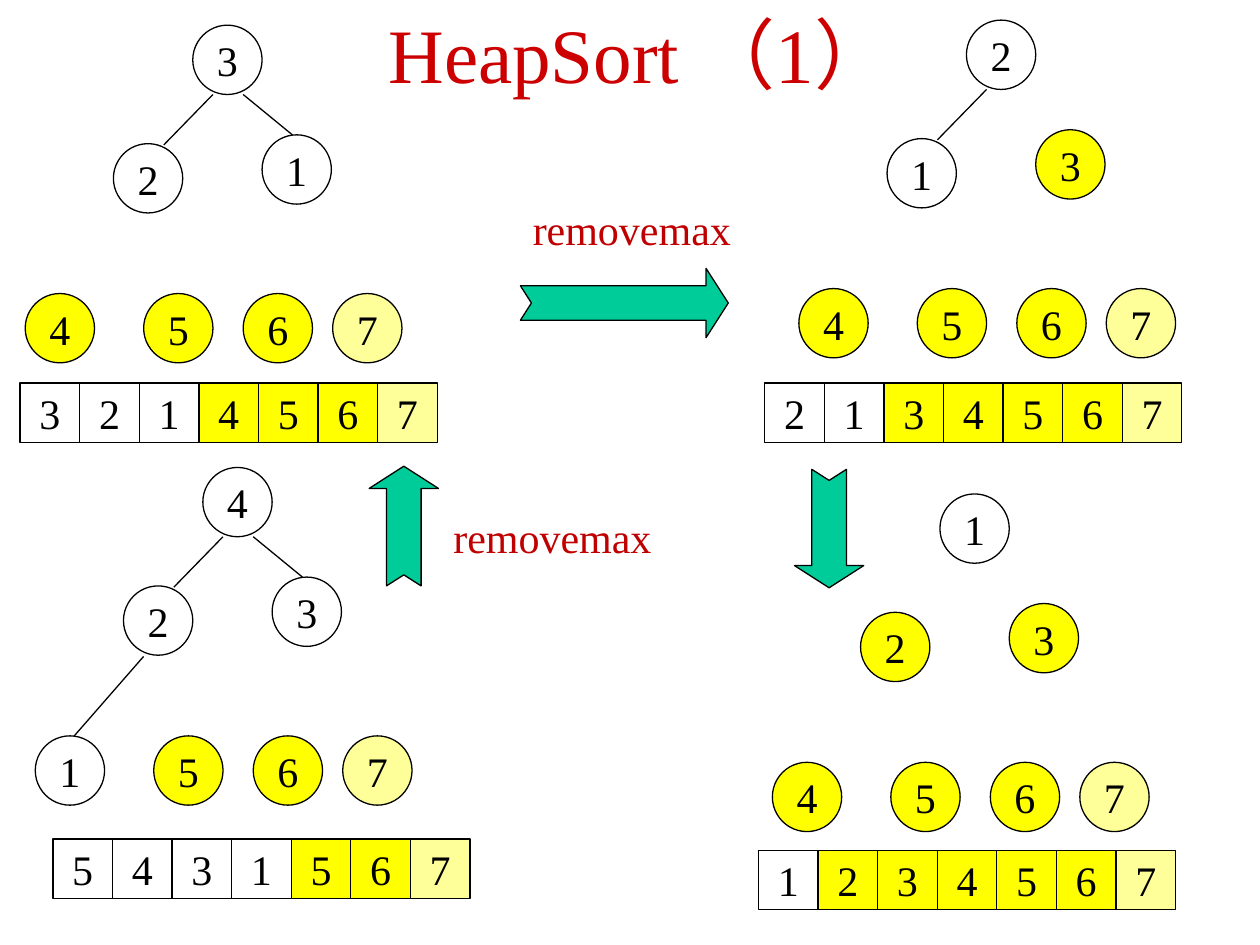
import lxml.etree
import pptx
import pptx.dml.color
import pptx.enum.shapes
import pptx.enum.text
import pptx.oxml.ns
import pptx.util

Inches = pptx.util.Inches
Pt = pptx.util.Pt
Preset = pptx.enum.shapes.MSO_SHAPE
Align = pptx.enum.text.PP_ALIGN
Anchor = pptx.enum.text.MSO_ANCHOR

NODE_SIZE = 0.55
NODE_OFFSETS = [(1.33, 0), (0.7, 0.94), (1.88, 0.87), (0, 2.13), (0.94, 2.13), (1.73, 2.13), (2.44, 2.13)]
EDGE_OFFSETS = [
    ((1.49, 0.55), (1.1, 0.95)),
    ((1.73, 0.55), (2.12, 0.87)),
    ((0.86, 1.5), (0.31, 2.13)),
]
CELL_HEIGHT = 0.47
CELL_WIDTH = 3.31 / 7


def color(value):
    return pptx.dml.color.RGBColor.from_string(value)


class HeapSlide:
    font_name = "Times New Roman"
    ink = "000000"
    label_color = "C00000"
    title_color = "CC0000"
    arrow_fill = "00CC99"
    sorted_fill = "FFFF00"
    largest_fill = "FFFF99"
    line_width = 0.75
    text_size = 24
    title_size = 44

    def __init__(self, slide):
        self.slide = slide

    def set_text(self, frame, text, size, text_color, align):
        frame.text = text
        paragraph = frame.paragraphs[0]
        paragraph.alignment = align
        for run in paragraph.runs:
            run.font.name = self.font_name
            run.font.size = Pt(size)
            run.font.color.rgb = color(text_color)

    def title(self, text, left, top, width, height):
        heading = self.slide.shapes.title
        heading.left, heading.top = Inches(left), Inches(top)
        heading.width, heading.height = Inches(width), Inches(height)
        heading.text_frame.vertical_anchor = Anchor.MIDDLE
        self.set_text(heading.text_frame, text, self.title_size, self.title_color, Align.CENTER)

    def label(self, text, left, top):
        box = self.slide.shapes.add_textbox(Inches(left), Inches(top), Inches(1.79), Inches(0.5))
        box.text_frame.word_wrap = False
        box.text_frame.auto_size = pptx.enum.text.MSO_AUTO_SIZE.SHAPE_TO_FIT_TEXT
        self.set_text(box.text_frame, text, self.text_size, self.label_color, Align.LEFT)

    def outlined(self, shapes, preset, left, top, width, height, fill):
        shape = shapes.add_shape(preset, Inches(left), Inches(top), Inches(width), Inches(height))
        shape.shadow.inherit = False
        if fill:
            shape.fill.solid()
            shape.fill.fore_color.rgb = color(fill)
        else:
            shape.fill.background()
        shape.line.color.rgb = color(self.ink)
        shape.line.width = Pt(self.line_width)
        return shape

    def number(self, shapes, preset, value, left, top, width, height, fill):
        holder = self.outlined(shapes, preset, left, top, width, height, fill)
        holder.text_frame.word_wrap = False
        holder.text_frame.vertical_anchor = Anchor.MIDDLE
        self.set_text(holder.text_frame, value, self.text_size, self.ink, Align.CENTER)

    def arrow(self, left, top, width, rotation=0):
        step = self.outlined(
            self.slide.shapes, Preset.NOTCHED_RIGHT_ARROW, left, top, width, NODE_SIZE, self.arrow_fill
        )
        step.adjustments[0] = 0.5
        step.adjustments[1] = 0.32
        step.rotation = rotation

    def edge(self, shapes, start, end):
        branch = shapes.add_connector(
            pptx.enum.shapes.MSO_CONNECTOR.STRAIGHT, *[Inches(length) for length in (*start, *end)]
        )
        branch.line.color.rgb = color(self.ink)
        branch.line.width = Pt(self.line_width)
        lxml.etree.SubElement(branch._element.spPr, pptx.oxml.ns.qn("a:effectLst"))

    def fill_for(self, index, values, heap_size, heap_fill):
        if index < heap_size:
            return heap_fill
        return self.largest_fill if index == len(values) - 1 else self.sorted_fill

    def tree(self, values, heap_size, left, top):
        shapes = self.slide.shapes.add_group_shape().shapes
        for index, (value, (dx, dy)) in enumerate(zip(values, NODE_OFFSETS)):
            fill = self.fill_for(index, values, heap_size, None)
            self.number(shapes, Preset.OVAL, value, left + dx, top + dy, NODE_SIZE, NODE_SIZE, fill)
        for ends in EDGE_OFFSETS[:heap_size - 1]:
            self.edge(shapes, *[(left + dx, top + dy) for dx, dy in ends])

    def array(self, values, heap_size, left, top):
        shapes = self.slide.shapes.add_group_shape().shapes
        for index, value in enumerate(values):
            fill = self.fill_for(index, values, heap_size, "FFFFFF")
            self.number(
                shapes, Preset.RECTANGLE, value, left + index * CELL_WIDTH, top, CELL_WIDTH, CELL_HEIGHT, fill
            )


def main():
    deck = pptx.Presentation()
    deck.slide_width, deck.slide_height = Inches(10), Inches(7.5)
    heap = HeapSlide(deck.slides.add_slide(deck.slide_layouts[5]))

    heap.title("HeapSort （1）", 0.83, 0, 8.5, 0.84)

    stages = [
        (4, "4231567", (0.28, 3.71), "5431567", (0.42, 6.66)),
        (3, "3214567", (0.2, 0.2), "3214567", (0.16, 3.04)),
        (2, "2134567", (6.34, 0.16), "2134567", (6.07, 3.04)),
        (1, "1234567", (6.13, 3.92), "1234567", (6.02, 6.75)),
    ]
    for heap_size, nodes, tree_corner, cells, array_corner in stages:
        heap.tree(nodes, heap_size, *tree_corner)
        heap.array(cells, heap_size, *array_corner)

    heap.arrow(2.73, 3.9, 0.95, 270)
    heap.arrow(4.13, 2.13, 1.65)
    heap.arrow(6.11, 3.92, 0.94, 90)
    heap.label("removemax", 4.13, 1.57)
    heap.label("removemax", 3.5, 4.01)

    deck.save("out.pptx")


if __name__ == "__main__":
    main()
